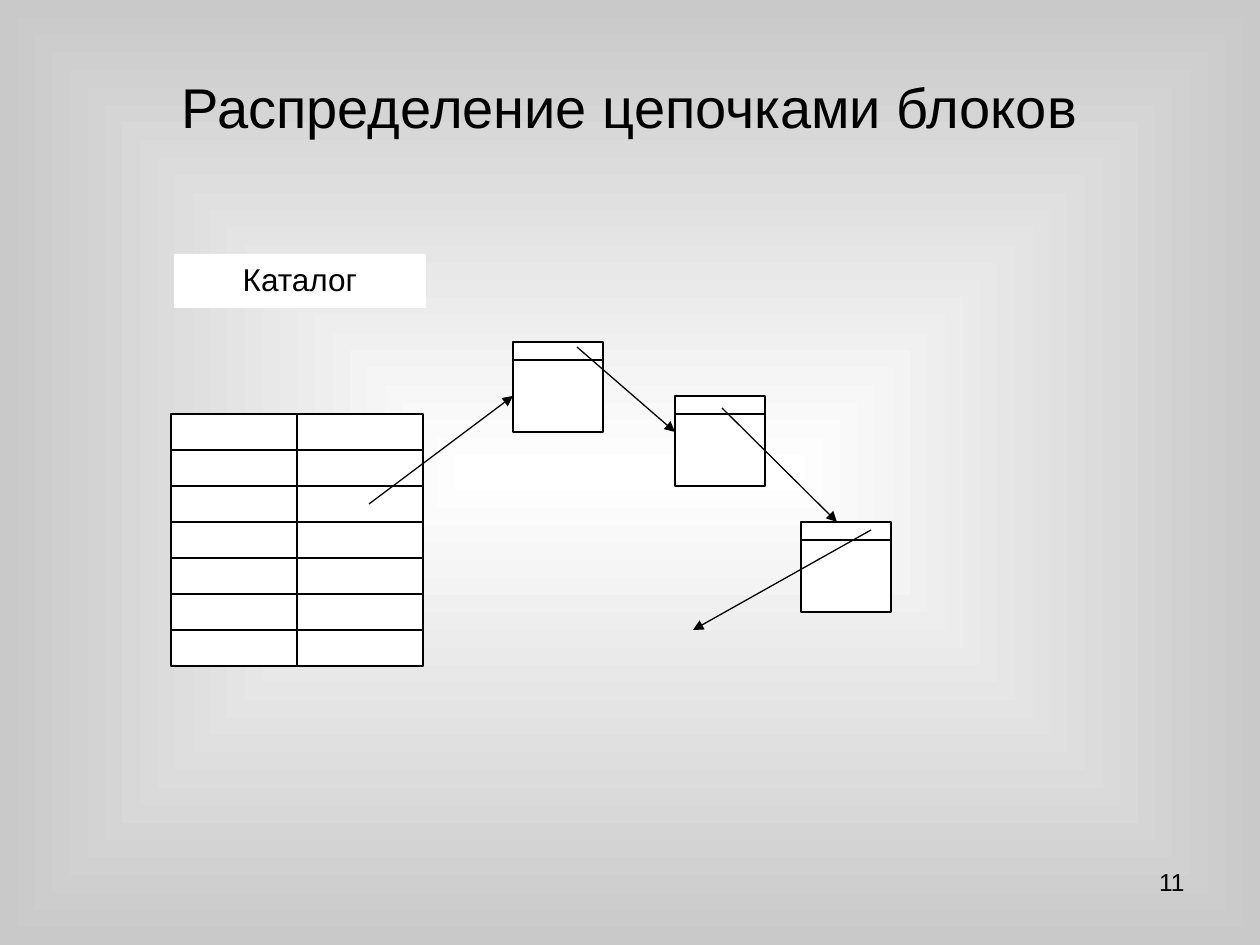
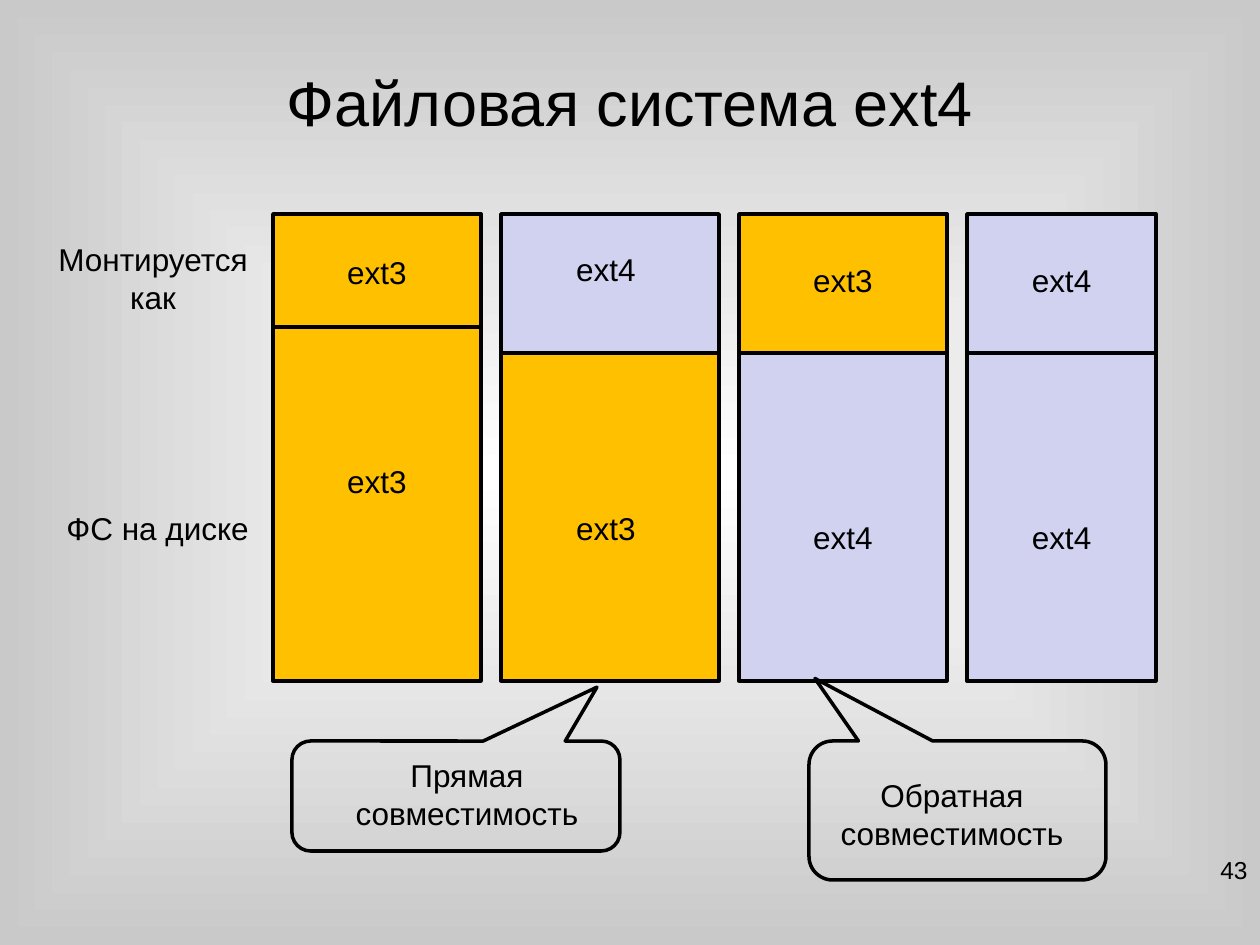
"""Builds two slides on block chains and ext4 compatibility."""
from lxml.etree import SubElement
from pptx import Presentation
from pptx.dml.color import RGBColor
from pptx.enum.shapes import MSO_CONNECTOR as Connector, MSO_SHAPE as Shape
from pptx.enum.text import MSO_ANCHOR as Anchor, PP_ALIGN as Align
from pptx.oxml.ns import qn
from pptx.util import Emu, Inches, Pt

BLACK = RGBColor(0x00, 0x00, 0x00)
WHITE = RGBColor(0xFF, 0xFF, 0xFF)
EDGE_GRAY = RGBColor(0xC9, 0xC9, 0xC9)
AMBER = RGBColor(0xFF, 0xC0, 0x00)
LILAC = RGBColor(0xD1, 0xD1, 0xF0)
COLOURS = {"ext3": AMBER, "ext4": LILAC}
FONT = "Arial"
SCALE = 914400 / 126
THIN, THICK = 0.75, 2


def px(*lengths):
    """Turn pixels into EMU."""
    return [Emu(round(length * SCALE)) for length in lengths]


def write(frame, text, size=18, align=Align.CENTER, anchor=Anchor.TOP):
    """Write one paragraph into a text frame."""
    frame.word_wrap = True
    frame.vertical_anchor = anchor
    para = frame.paragraphs[0]
    para.text = text
    para.alignment = align
    para.font.name = FONT
    para.font.size = Pt(size)
    para.font.color.rgb = BLACK


def add_text(shapes, at, text, **style):
    """Add a text box."""
    write(shapes.add_textbox(*px(*at)).text_frame, text, **style)


def add_box(shapes, at, fill=None, width=None, kind=Shape.RECTANGLE):
    """Add a shape with an optional fill and outline."""
    box = shapes.add_shape(kind, *px(*at))
    box.shadow.inherit = False
    if fill is None:
        box.fill.background()
    else:
        box.fill.solid()
        box.fill.fore_color.rgb = fill
    if width is None:
        box.line.fill.background()
    else:
        box.line.color.rgb = BLACK
        box.line.width = Pt(width)
    return box


def add_line(shapes, start, end, arrow=False):
    """Add a thin straight line, with an arrowhead at its end if asked."""
    line = shapes.add_connector(Connector.STRAIGHT, *px(*start, *end))
    line.line.color.rgb = BLACK
    line.line.width = Pt(THIN)
    properties = line.element.spPr
    if arrow:
        SubElement(properties.find(qn("a:ln")), qn("a:tailEnd"), type="triangle")
    SubElement(properties, qn("a:effectLst"))


def add_page(deck, title, title_size, title_height, number, number_at):
    """Add a slide with the shared background, title and page number."""
    page = deck.slides.add_slide(deck.slide_layouts[6])
    fill = page.background.fill
    fill.gradient()
    for stop, colour in zip(fill.gradient_stops, (WHITE, EDGE_GRAY)):
        stop.color.rgb = colour
    gradient = page.element.find(".//" + qn("a:gradFill"))
    gradient.remove(gradient.find(qn("a:lin")))
    route = SubElement(gradient, qn("a:path"), path="shape")
    SubElement(route, qn("a:fillToRect"), l="50000", t="50000", r="50000", b="50000")
    add_text(page.shapes, (63, 38, 1134, title_height), title,
             size=title_size, anchor=Anchor.MIDDLE)
    add_text(page.shapes, (*number_at, 294, 66), number, size=14, align=Align.RIGHT)
    return page


def add_catalog(shapes, left, top, size=252, rows=7):
    """Add the empty two-column catalog grid."""
    add_box(shapes, (left, top, size, size), WHITE, THIN)
    for row in range(1, rows):
        y = top + row * size / rows
        add_line(shapes, (left, y), (left + size, y))
    middle = left + size / 2
    add_line(shapes, (middle, top), (middle, top + size))


def add_block(shapes, left, top, size=90, header=18):
    """Add a disk block with a header strip as one group."""
    group = shapes.add_group_shape().shapes
    add_box(group, (left, top, size, size), WHITE, THIN)
    add_line(group, (left, top + header), (left + size, top + header))


def add_chain_page(deck):
    """Add the slide on allocation by chains of blocks."""
    page = add_page(deck, "Распределение цепочками блоков", 32, 137, "11", (903, 861))
    shapes = page.shapes
    label = add_box(shapes, (174, 254, 252, 54), WHITE)
    write(label.text_frame, "Каталог")
    add_catalog(shapes, 171, 414)
    for corner in ((513, 342), (675, 396), (801, 522)):
        add_block(shapes, *corner)
    arrows = [
        ((369, 504), (513, 396)),
        ((577, 347), (675, 432)),
        ((722, 408), (837, 522)),
        ((871, 530), (693, 630)),
    ]
    for start, end in arrows:
        add_line(shapes, start, end, arrow=True)


def add_columns(shapes, left=273, top=214, bottom=681, gap=20):
    """Add the columns of mounted (upper) and stored (lower) file systems."""
    columns = [
        (208, 327, 0, ("ext3", 247), ("ext3", 456)),
        (218, 353, -4, ("ext4", 244), ("ext3", 503)),
        (208, 353, 0, ("ext3", 255), ("ext4", 512)),
        (189, 353, 0, ("ext4", 255), ("ext4", 512)),
    ]
    for width, split, shift, mounted, stored in columns:
        parts = ((stored, split, bottom), (mounted, top, split))
        for (name, _), start, end in parts:
            add_box(shapes, (left, start, width, end - start), COLOURS[name], THICK)
        for name, label_top in (mounted, stored):
            add_text(shapes, (left + 22 + shift, label_top, width - 44, 50), name)
        left += width + gap


def add_callout(shapes, at, tip, text, text_at):
    """Add a rounded callout and the text over it."""
    callout = add_box(shapes, at, width=THICK, kind=Shape.ROUNDED_RECTANGULAR_CALLOUT)
    for index, value in enumerate((*tip, 0.17)):
        callout.adjustments[index] = value
    add_text(shapes, (*text_at, 248, 89), text)


def add_ext4_page(deck):
    """Add the slide on ext4 compatibility."""
    page = add_page(deck, "Файловая система ext4", 36, 127, "43", (966, 849))
    shapes = page.shapes
    add_text(shapes, (44, 234, 218, 89), "Монтируется как")
    add_text(shapes, (54, 503, 212, 50), "ФС на диске", align=Align.LEFT)
    add_columns(shapes)
    add_callout(shapes, (292, 741, 328, 110), (0.43, -0.99),
                "Прямая совместимость", (343, 750))
    add_callout(shapes, (809, 741, 297, 139), (-0.48, -0.95),
                "Обратная совместимость", (828, 770))


def main():
    """Build and save the deck."""
    deck = Presentation()
    deck.slide_width, deck.slide_height = Inches(10), Inches(7.5)
    add_chain_page(deck)
    add_ext4_page(deck)
    deck.save("out.pptx")


main()
